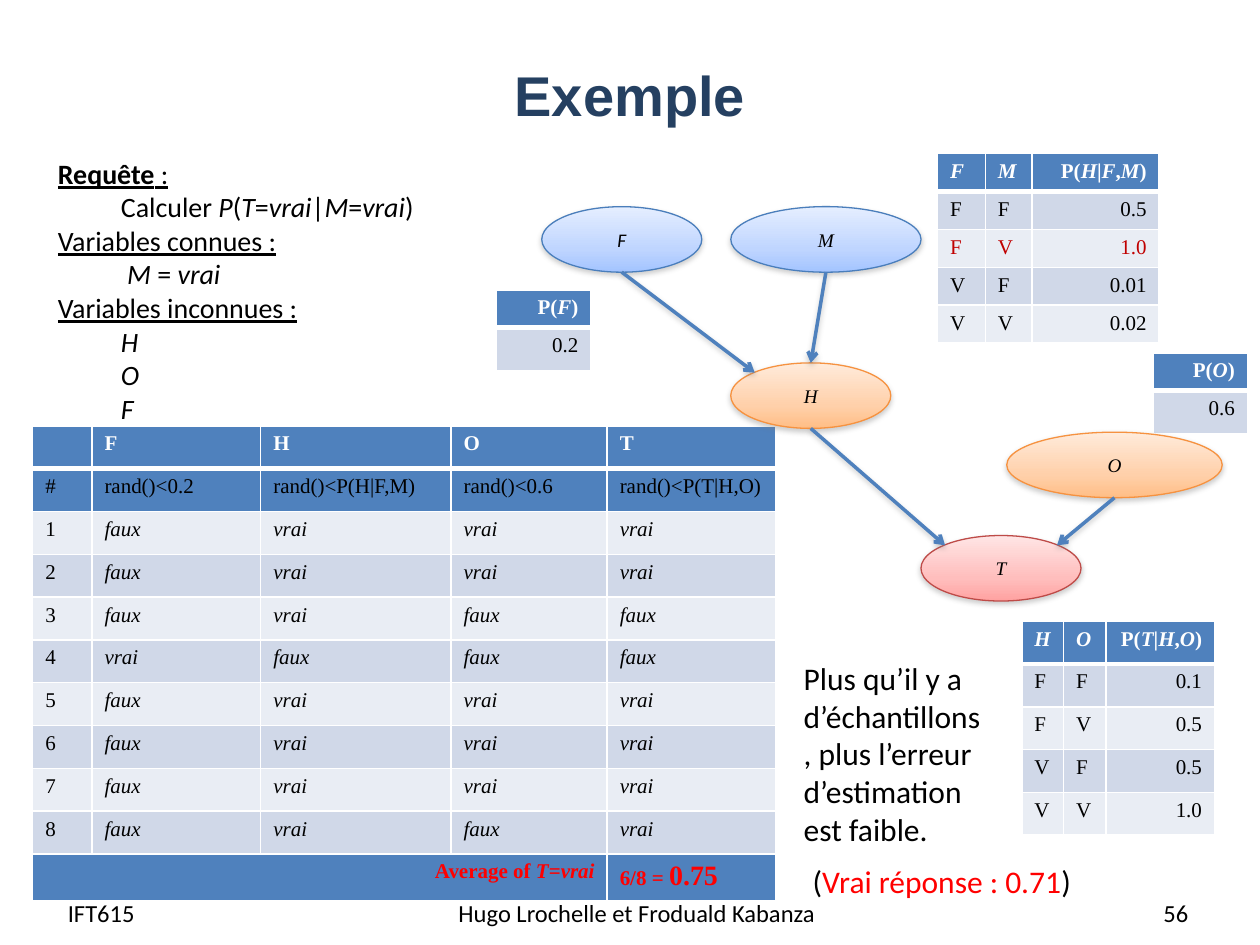
"""Build the slide on estimating P(T|M) by sampling a Bayesian network."""
from dataclasses import dataclass
from lxml.etree import SubElement as Sub
from pptx import Presentation
from pptx.dml.color import RGBColor as RGB
from pptx.enum.shapes import MSO_CONNECTOR as Link, MSO_SHAPE as Kind
from pptx.enum.text import MSO_ANCHOR as Anchor, MSO_AUTO_SIZE as Auto, PP_ALIGN as Align
from pptx.oxml.ns import qn
from pptx.util import Inches, Pt


@dataclass(frozen=True)
class Theme:
    sans: str = "Calibri"
    serif: str = "Times New Roman"
    head: str = "Arial"
    black: str = "000000"
    white: str = "FFFFFF"
    navy: str = "254061"
    blue: str = "4F81BD"
    odd: str = "D0D8E8"
    even: str = "E9EDF4"
    red: str = "FF0000"
    dark: str = "C00000"
    shade: str = "808080"
    title: int = 32
    large: int = 18
    body: int = 16
    foot: int = 14
    cell: int = 12
    node: int = 11


theme = Theme()
deck = Presentation()
deck.slide_width, deck.slide_height = Inches(10), Inches(7.5)
col, row = deck.slide_width // 100, deck.slide_height // 75


def span(*sizes):
    """Turn alternating columns and rows into lengths."""
    return [round(size * (row if i % 2 else col)) for i, size in enumerate(sizes)]


def write(para, text, size, color=theme.black, face=theme.sans, bold=False, under=False):
    """Add runs to a paragraph, with underscores switching italics."""
    for i, part in enumerate(text.split("_")):
        if part:
            run = para.add_run()
            run.text = part
            font = run.font
            font.name, font.size, font.bold = face, Pt(size), bold
            font.italic, font.underline = i % 2 == 1, under
            font.color.rgb = RGB.from_string(color)
    para._p.get_or_add_endParaRPr().set("sz", str(size * 100))


slide = deck.slides.add_slide(deck.slide_layouts[1])
shapes = slide.shapes
title, body = slide.placeholders
for shape, place in ((title, (5, 1.2, 90, 12.5)), (body, (3.6, 11.9, 32.3, 22.6))):
    shape.left, shape.top, shape.width, shape.height = span(*place)
    shape.text_frame.auto_size = Auto.NONE
title.text_frame.vertical_anchor = Anchor.MIDDLE
para = title.text_frame.paragraphs[0]
para.alignment = Align.CENTER
write(para, "Exemple", theme.title, theme.navy, theme.head, True)

query = [
    (0, "Requête"), (5, "Calculer _P_(_T_=_vrai_|_M_=_vrai_)"),
    (0, "Variables connues :"), (5.5, "_M_ = _vrai_"),
    (0, "Variables inconnues :"), (5, "_H_"), (5, "_O_"), (5, "_F_"),
]
frame = body.text_frame
for i, (dent, text) in enumerate(query):
    para = frame.add_paragraph() if i else frame.paragraphs[0]
    para.space_before = Pt(0)
    props = para._p.get_or_add_pPr()
    props.set("marL", str(span(dent)[0]))
    props.set("indent", "0")
    Sub(props, qn("a:buNone"))
    write(para, text, theme.body, bold=i == 0, under=dent == 0)
write(frame.paragraphs[0], " :", theme.body, under=True)

notes = [
    ((4.4, 70.4, 19.3, 4), Align.LEFT, theme.foot, [("IFT615", theme.black)]),
    ((34.7, 70.4, 31.7, 4), Align.CENTER, theme.foot,
     [("Hugo Lrochelle et Froduald Kabanza", theme.black)]),
    ((72, 70.4, 23.3, 4), Align.RIGHT, theme.foot, [("56", theme.black)]),
    ((62.8, 51.8, 16.2, 16.1), Align.LEFT, theme.large,
     [("Plus qu’il y a d’échantillons, plus l’erreur d’estimation est faible.", theme.black)]),
    ((63.5, 67.9, 24.9, 4), Align.LEFT, theme.large,
     [("(", theme.black), ("Vrai réponse : 0.71", theme.red), (")", theme.black)]),
]
for place, align, size, parts in notes:
    frame = shapes.add_textbox(*span(*place)).text_frame
    frame.word_wrap = True
    frame.vertical_anchor = Anchor.MIDDLE if size == theme.foot else Anchor.TOP
    para = frame.paragraphs[0]
    para.alignment = align
    for text, color in parts:
        write(para, text, size, color)

draws = [
    "faux vrai vrai vrai", "faux vrai vrai vrai", "faux vrai faux faux", "vrai faux faux faux",
    "faux vrai vrai vrai", "faux vrai vrai vrai", "faux vrai vrai vrai", "faux vrai faux vrai",
]
trials = [
    ["", "F", "H", "O", "T"],
    ["#", "rand()<0.2", "rand()<P(H|F,M)", "rand()<0.6", "rand()<P(T|H,O)"],
    *([str(i), *(f"_{word}_" for word in draw.split())] for i, draw in enumerate(draws, 1)),
    [""] * 5,
]
pairs = ["FF", "FV", "VF", "VV"]
tables = {
    "trials": ((2.6, 33.8), [4.7, 13.4, 15.1, 12.4, 13.4], [3.4] * 10 + [3.7], trials),
    "F": ((39.4, 23), [7.5], [3, 3.4], [["P(_F_)"], ["0.2"]]),
    "O": ((91.5, 28), [7.5], [3, 3.4], [["P(_O_)"], ["0.6"]]),
    "H": ((74.4, 12.2), [3.8, 3.7, 10.1], [3] * 5,
          [["_F_", "_M_", "P(_H_|_F_,_M_)"],
           *([*pair, odds] for pair, odds in zip(pairs, ("0.5", "1.0", "0.01", "0.02")))]),
    "T": ((81.1, 49.3), [3.3, 3.4, 8.6], [3.4] * 5,
          [["_H_", "_O_", "P(_T_|_H_,_O_)"],
           *([*pair, odds] for pair, odds in zip(pairs, ("0.1", "0.5", "0.5", "1.0")))]),
}
for name, (place, wide, tall, data) in tables.items():
    table = shapes.add_table(len(tall), len(wide), *span(*place, sum(wide), sum(tall))).table
    table.first_row = table.horz_banding = False
    for c, width in enumerate(wide):
        table.columns[c].width = span(width)[0]
    for r, height in enumerate(tall):
        table.rows[r].height = span(0, height)[1]
        for c, text in enumerate(data[r]):
            cell = table.cell(r, c)
            props = cell._tc.get_or_add_tcPr()
            for side in "LRTB":
                thick = (r, side) in ((0, "B"), (1, "T"))
                edge = Sub(props, qn(f"a:ln{side}"), w=str(Pt(3 if thick else 1)))
                Sub(Sub(edge, qn("a:solidFill")), qn("a:srgbClr"), val=theme.white)
            deep = r == 0 or name == "trials" and r in (1, len(tall) - 1)
            cell.fill.solid()
            cell.fill.fore_color.rgb = RGB.from_string(
                theme.blue if deep else theme.odd if r % 2 else theme.even)
            para = cell.text_frame.paragraphs[0]
            if name != "trials" and c == len(wide) - 1:
                para.alignment = Align.RIGHT
            color = theme.white if r == 0 else theme.dark if (name, r) == ("H", 2) else theme.black
            write(para, text, theme.cell, color, theme.serif, r == 0)
    if name == "trials":
        table.cell(10, 0).merge(table.cell(10, 3))
        para = table.cell(10, 0).text_frame.paragraphs[0]
        para.alignment = Align.RIGHT
        write(para, "Average of _T_=_vrai_", theme.cell, theme.red, theme.serif, True)
        para = table.cell(10, 4).text_frame.paragraphs[0]
        write(para, "6/8 = ", theme.cell, theme.red, theme.serif, True)
        write(para, "0.75", theme.body, theme.red, theme.serif, True)

cool = ("4A7EBB", "E5EEFF", "BFD5FF", "A3C4FF")
warm = ("F69240", "FFEBDB", "FFD0AA", "FFBE86")
rose = ("BE4B48", "FFE5E5", "FFBEBD", "FFA2A1")
nodes = {
    "F": ((43, 16.4, 12.7, 5.2), cool), "M": ((58, 16.4, 15.1, 5.2), cool),
    "H": ((58, 28.8, 12.7, 5.2), warm), "O": ((79.9, 34.3, 17.1, 5.2), warm),
    "T": ((73.1, 42.5, 12.7, 5.2), rose),
}
drawn = []
for name, (place, (line, *stops)) in nodes.items():
    oval = shapes.add_shape(Kind.OVAL, *span(*place))
    grad = Sub(oval._element.spPr, qn("a:gradFill"))
    steps = Sub(grad, qn("a:gsLst"))
    for at, tint in zip((0, 65, 100), stops):
        Sub(Sub(steps, qn("a:gs"), pos=str(at * 1000)), qn("a:srgbClr"), val=tint)
    Sub(grad, qn("a:lin"), ang="5400000", scaled="0")
    oval.line.color.rgb = RGB.from_string(line)
    oval.line.width = Pt(0.75)
    oval.text_frame.vertical_anchor = Anchor.MIDDLE
    para = oval.text_frame.paragraphs[0]
    para.alignment = Align.CENTER
    write(para, f"_{name}_", theme.node, face=theme.sans if name == "F" else theme.serif)
    drawn.append(oval)

edges = [("F", "H", 0.15, 0.15), ("M", "H", 0.5, 0), ("H", "T", 0.15, 0.15), ("O", "T", 0.85, 0.15)]
for start, end, across, down in edges:
    (x, y, w, h), (left, top, width, height) = nodes[start][0], nodes[end][0]
    ends = span(x + w / 2, y + h, left + width * across, top + height * down)
    arrow = shapes.add_connector(Link.STRAIGHT, *ends)
    arrow.line.color.rgb = RGB.from_string(theme.blue)
    arrow.line.width = Pt(2)
    Sub(arrow.line._get_or_add_ln(), qn("a:tailEnd"), type="arrow")
    drawn.append(arrow)

for shape in drawn:
    glow = Sub(Sub(shape._element.spPr, qn("a:effectLst")), qn("a:outerShdw"),
               blurRad=str(Pt(3.1)), dist=str(Pt(1.6)), dir="5400000", rotWithShape="0")
    Sub(Sub(glow, qn("a:srgbClr"), val=theme.shade), qn("a:alpha"), val="38000")

deck.save("out.pptx")
